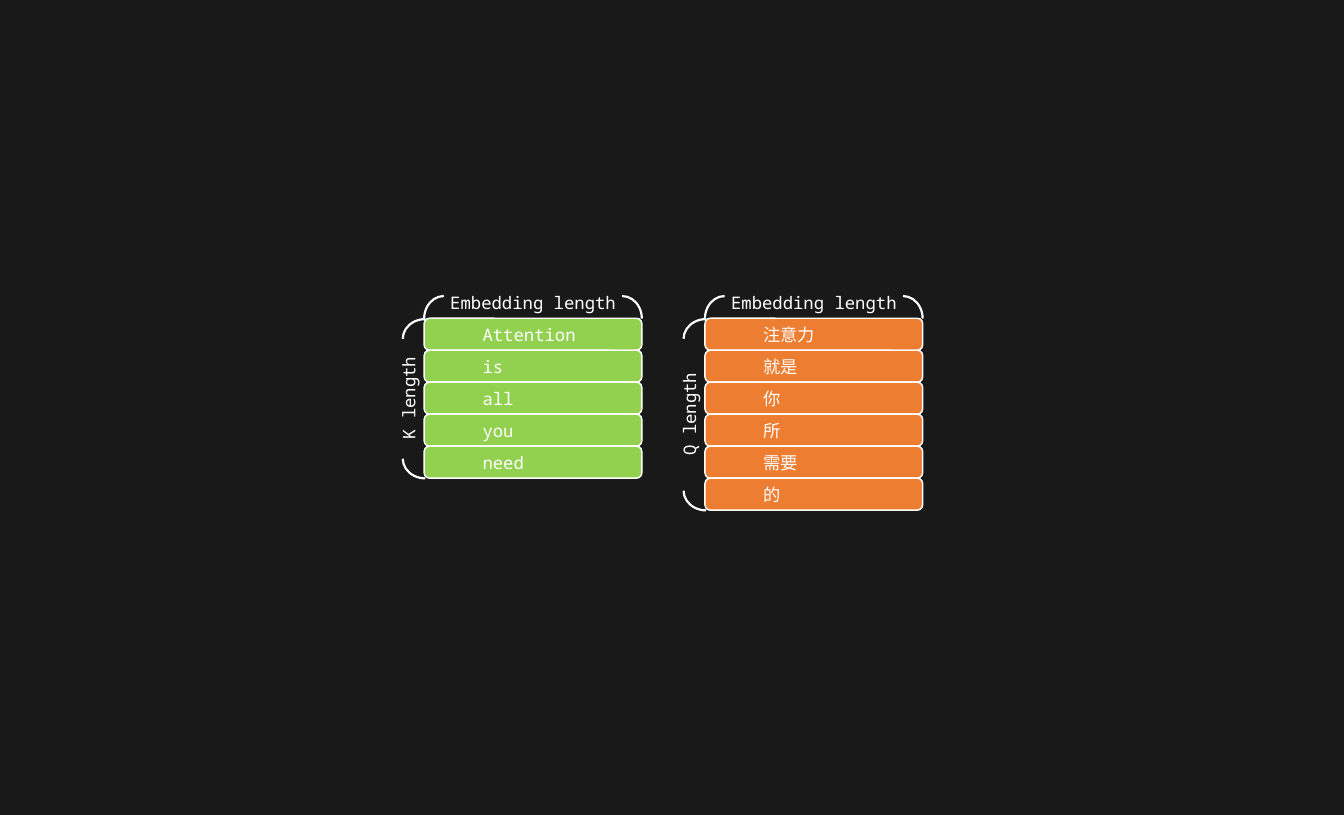
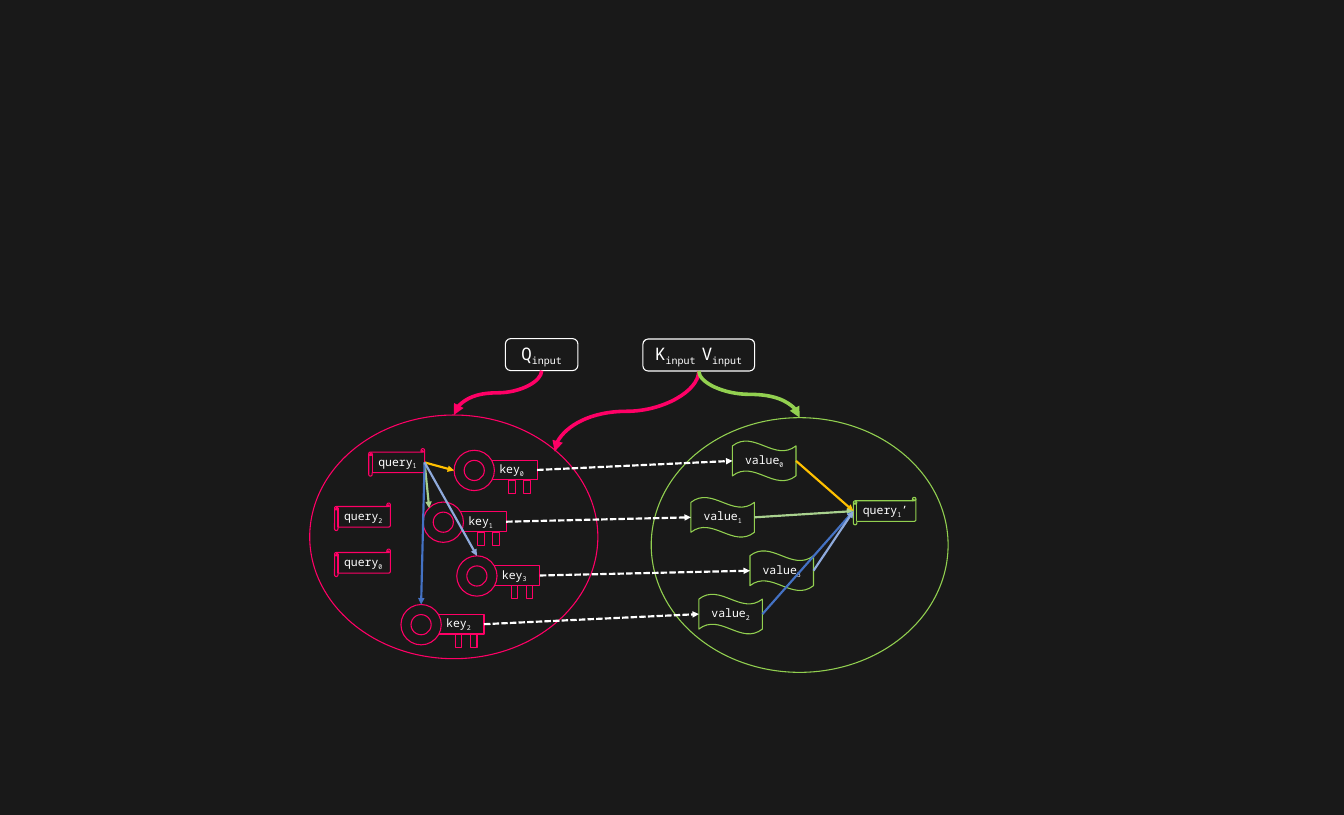
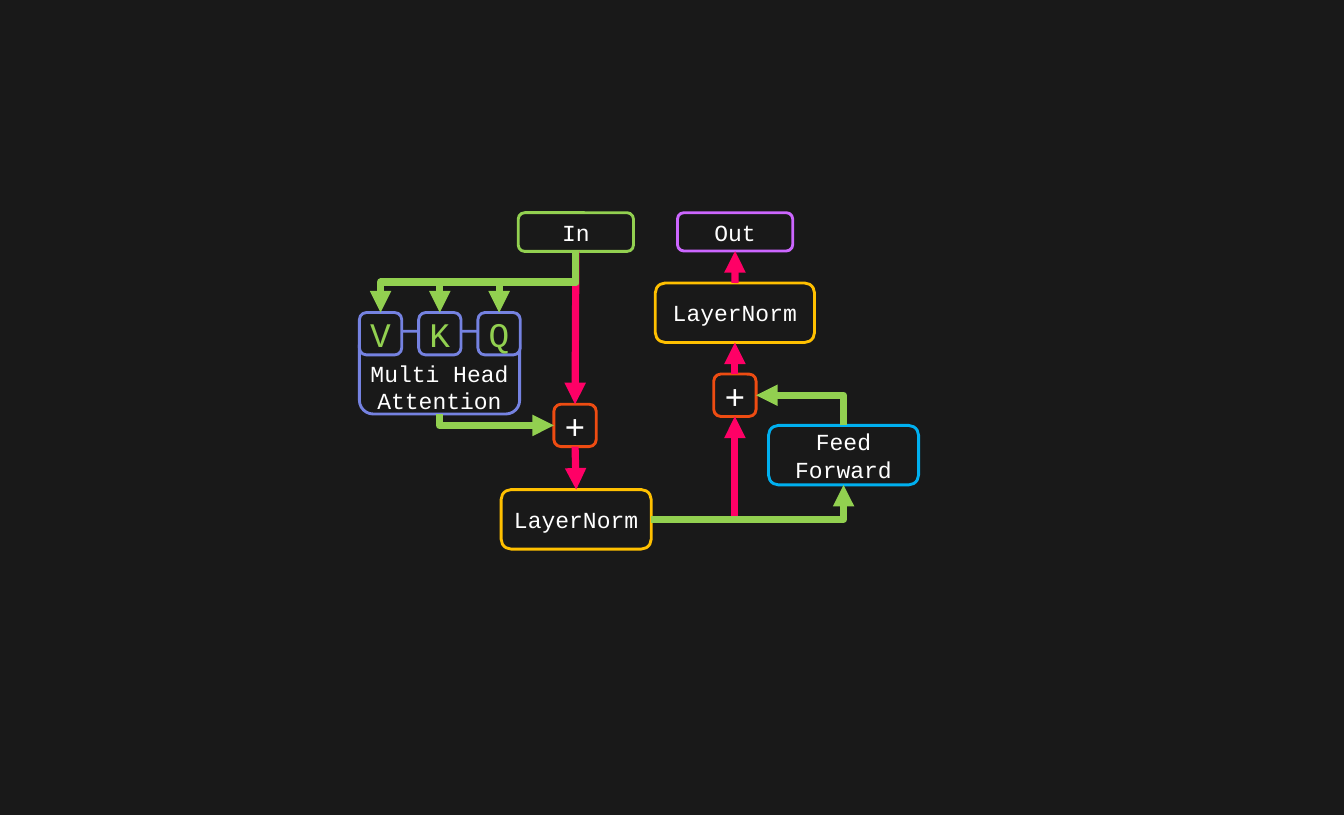
"""Build three slides that explain attention: matrices, lookup and block layout."""
import dataclasses
import enum
import typing

import lxml.etree
import pptx
import pptx.dml.color
import pptx.enum.dml
import pptx.enum.shapes
import pptx.enum.text
import pptx.oxml.ns
import pptx.shapes.autoshape
import pptx.slide
import pptx.util

Cm = pptx.util.Cm
Kind = pptx.enum.shapes.MSO_SHAPE
Wire = pptx.enum.shapes.MSO_CONNECTOR
Align = pptx.enum.text.PP_ALIGN
Shape = pptx.shapes.autoshape.Shape
qn = pptx.oxml.ns.qn


@dataclasses.dataclass(frozen=True)
class Theme:
    """Colours, fonts and type sizes shared by the slides."""
    ground: str = "191919"
    white: str = "FFFFFF"
    green: str = "92D050"
    orange: str = "ED7D31"
    pink: str = "FF0066"
    gold: str = "FFC000"
    sage: str = "A9D18E"
    blue: str = "4472C4"
    sky: str = "8FAADC"
    violet: str = "CC66FF"
    indigo: str = "7582E1"
    cyan: str = "00B0F0"
    rust: str = "EE4C12"
    mono: str = "Noto Sans Mono"
    chinese: str = "Noto Sans CJK TC"
    courier: str = "Courier New"
    small: int = 16
    body: int = 24
    block: int = 32
    symbol: int = 48


THEME = Theme()


class Box(typing.NamedTuple):
    """Place and size in centimetres."""
    left: float
    top: float
    width: float
    height: float


@dataclasses.dataclass(frozen=True)
class Look:
    """Fill, outline and turn of a shape."""
    line: typing.Optional[str] = None
    weight: float = 1.5
    fill: typing.Optional[str] = None
    rotation: float = 0
    mirrored: bool = False


@dataclasses.dataclass(frozen=True)
class Lettering:
    """Type settings of a label."""
    size: int
    font: str = THEME.mono
    color: str = THEME.white
    align: Align = Align.CENTER
    indent: float = 0
    wrap: bool = True
    margin_top: typing.Optional[float] = None


class Run(typing.NamedTuple):
    """A piece of text, optionally lowered."""
    text: str
    lowered: bool = False


class Side(enum.Enum):
    """Relative place of a connection site, and its index on angular and round shapes."""
    TOP = (0.5, 0, 0, 0)
    LEFT = (0, 0.5, 1, 2)
    BOTTOM = (0.5, 1, 2, 4)
    RIGHT = (1, 0.5, 3, 6)
    TOP_LEFT = (0.15, 0.15, 0, 1)
    TOP_RIGHT = (0.85, 0.15, 0, 7)


class Port(typing.NamedTuple):
    """A connection site on a shape."""
    shape: Shape
    side: Side

    def point(self) -> tuple[int, int]:
        """Return the site's position on the slide."""
        across, down = self.side.value[:2]
        return (int(self.shape.left + self.shape.width * across),
                int(self.shape.top + self.shape.height * down))

    def site(self) -> int:
        """Return the index of the site for this kind of shape."""
        is_round = self.shape.auto_shape_type in (Kind.OVAL, Kind.DONUT)
        return self.side.value[3 if is_round else 2]


@dataclasses.dataclass(frozen=True)
class Link:
    """An arrow between two ports."""
    start: Port
    end: Port
    color: str
    weight: float
    wire: Wire = Wire.STRAIGHT
    corner: bool = False
    dashed: bool = False


def rgb(code: str) -> pptx.dml.color.RGBColor:
    """Turn a hex code into a colour."""
    return pptx.dml.color.RGBColor.from_string(code)


def new_slide(deck: typing.Any) -> pptx.slide.Slide:
    """Add a blank slide on the dark ground."""
    slide = deck.slides.add_slide(deck.slide_layouts[6])
    slide.background.fill.solid()
    slide.background.fill.fore_color.rgb = rgb(THEME.ground)
    return slide


def draw(shapes: typing.Any, kind: Kind, box: Box, look: Look) -> Shape:
    """Draw a preset shape."""
    shape = shapes.add_shape(kind, *(Cm(length) for length in box))
    shape.shadow.inherit = False
    shape.rotation = look.rotation
    if look.fill:
        shape.fill.solid()
        shape.fill.fore_color.rgb = rgb(look.fill)
    else:
        shape.fill.background()
    if look.line:
        shape.line.color.rgb = rgb(look.line)
        shape.line.width = pptx.util.Pt(look.weight)
    else:
        shape.line.fill.background()
    if look.mirrored:
        shape.element.spPr.find(qn("a:xfrm")).set("flipH", "1")
    return shape


def write(shape: Shape, runs: typing.Sequence[Run], lettering: Lettering) -> Shape:
    """Write one paragraph into a shape, run by run."""
    frame = shape.text_frame
    frame.word_wrap = lettering.wrap
    frame.vertical_anchor = pptx.enum.text.MSO_ANCHOR.MIDDLE
    if lettering.margin_top is not None:
        frame.margin_top = Cm(lettering.margin_top)
    paragraph = frame.paragraphs[0]
    paragraph.alignment = lettering.align
    if lettering.indent:
        paragraph.level = 1
        properties = paragraph._p.get_or_add_pPr()
        properties.set("marL", str(Cm(lettering.indent)))
        properties.set("indent", "0")
    for piece in runs:
        run = paragraph.add_run()
        run.text = piece.text
        run.font.size = pptx.util.Pt(lettering.size)
        run.font.color.rgb = rgb(lettering.color)
        run.font.name = lettering.font
        properties = run._r.get_or_add_rPr()
        lxml.etree.SubElement(properties, qn("a:ea"), typeface=lettering.font)
        if piece.lowered:
            properties.set("baseline", "-25000")
    return shape


def connect(slide: pptx.slide.Slide, link: Link) -> None:
    """Draw an arrow glued to its two ports."""
    (x1, y1), (x2, y2) = link.start.point(), link.end.point()
    rotation = 0
    leaves_upright = link.start.side in (Side.TOP, Side.BOTTOM)
    if link.wire != Wire.STRAIGHT and leaves_upright:
        run, rise = x2 - x1, y2 - y1
        rotation = 90 if run < 0 < rise else 270
        along, across = (rise, -run) if rotation == 90 else (-rise, run)
        middle_x, middle_y = (x1 + x2) // 2, (y1 + y2) // 2
        x1, y1 = middle_x - along // 2, middle_y - across // 2
        x2, y2 = x1 + along, y1 + across
    arrow = slide.shapes.add_connector(link.wire, x1, y1, x2, y2)
    arrow.rotation = rotation
    arrow.line.color.rgb = rgb(link.color)
    arrow.line.width = pptx.util.Pt(link.weight)
    if link.dashed:
        arrow.line.dash_style = pptx.enum.dml.MSO_LINE.SQUARE_DOT
    properties = arrow.element.spPr
    if link.corner:
        properties.find(qn("a:prstGeom")).set("prst", "bentConnector2")
    lxml.etree.SubElement(properties.find(qn("a:ln")), qn("a:tailEnd"), type="triangle")
    lxml.etree.SubElement(properties, qn("a:effectLst"))
    glue = arrow.element.find(".//" + qn("p:cNvCxnSpPr"))
    for tag, port in (("a:stCxn", link.start), ("a:endCxn", link.end)):
        lxml.etree.SubElement(glue, qn(tag), id=str(port.shape.shape_id), idx=str(port.site()))


@dataclasses.dataclass(frozen=True)
class Matrix:
    """A stack of word vectors with its dimension names."""
    left: float
    color: str
    font: str
    length_name: str
    words: tuple[str, ...]


def draw_matrix(slide: pptx.slide.Slide, matrix: Matrix) -> None:
    """Draw the word rows with a bracket above and one at the left."""
    left, top, width, row = matrix.left, 15.62, 10.69, 1.57
    arc_width, arc_height, label_width = 1.93, 2.21, 7.04
    total = row * len(matrix.words)
    row_look = Look(THEME.white, 2, matrix.color)
    row_text = Lettering(THEME.body, matrix.font, align=Align.LEFT, indent=2.54)
    for index, word in enumerate(matrix.words):
        place = Box(left, top + index * row, width, row)
        write(draw(slide.shapes, Kind.ROUNDED_RECTANGLE, place, row_look), [Run(word)], row_text)
    side_label = Box(left - 0.77 - label_width / 2, top + (total - row) / 2, label_width, row)
    for name, place, rotation in (("Embedding length", Box(left, top - row, width, row), 0),
                                  (matrix.length_name, side_label, 270)):
        label = draw(slide.shapes, Kind.ROUNDED_RECTANGLE, place, Look(rotation=rotation))
        write(label, [Run(name)], Lettering(THEME.body))
    for x, y, rotation, mirrored in (
            (left + width - arc_width, top - 1.09, 0, False),
            (left, top - 1.09, 0, True),
            (left - 0.91, top - 0.1, 270, False),
            (left - 0.91, top + total - 2.06, 270, True)):
        draw(slide.shapes, Kind.ARC, Box(x, y, arc_width, arc_height),
             Look(THEME.white, 3, rotation=rotation, mirrored=mirrored))


def build_matrices(deck: typing.Any) -> None:
    """Show the key and query matrices."""
    slide = new_slide(deck)
    draw_matrix(slide, Matrix(20.83, THEME.green, THEME.mono, "K length",
                              ("Attention", "is", "all", "you", "need")))
    draw_matrix(slide, Matrix(34.62, THEME.orange, THEME.chinese, "Q length",
                              ("注意力", "就是", "你", "所", "需要", "的")))


def draw_key(slide: pptx.slide.Slide, left: float, top: float, index: int) -> tuple[Shape, Shape]:
    """Draw a numbered key and return its ring and blade."""
    group = slide.shapes.add_group_shape()
    look = Look(THEME.pink, fill=THEME.ground)
    blade = draw(group.shapes, Kind.RECTANGLE, Box(left + 1.57, top + 0.48, 2.51, 0.97), look)
    write(blade, [Run("key"), Run(str(index), True)], Lettering(THEME.small, wrap=False))
    for offset in (2.51, 3.25):
        draw(group.shapes, Kind.RECTANGLE, Box(left + offset, top + 1.63, 0.64, 0.33),
             dataclasses.replace(look, rotation=90))
    ring = draw(group.shapes, Kind.DONUT, Box(left, top, 1.98, 1.98), look)
    return ring, blade


def build_lookup(deck: typing.Any) -> None:
    """Show queries matched with keys and mixed from values."""
    slide = new_slide(deck)
    pink_look = Look(THEME.pink, fill=THEME.ground)
    green_look = Look(THEME.green, fill=THEME.ground)
    white_look = Look(THEME.white, fill=THEME.ground)
    small = Lettering(THEME.small, wrap=False)
    body = Lettering(THEME.body, wrap=False)

    value_space = draw(slide.shapes, Kind.OVAL, Box(31.98, 20.5, 14.58, 12.5), green_look)
    key_space = draw(slide.shapes, Kind.OVAL, Box(15.21, 20.37, 14.15, 11.96), pink_look)
    q_input = draw(slide.shapes, Kind.ROUNDED_RECTANGLE, Box(24.82, 16.62, 3.56, 1.57), white_look)
    write(q_input, [Run("Q"), Run("input", True)], body)
    kv_input = draw(slide.shapes, Kind.ROUNDED_RECTANGLE, Box(31.57, 16.64, 5.49, 1.57), white_look)
    write(kv_input, [Run("K"), Run("input ", True), Run("V"), Run("input", True)], body)
    for source, space, side, color in (
            (q_input, key_space, Side.TOP, THEME.pink),
            (kv_input, key_space, Side.TOP_RIGHT, THEME.pink),
            (kv_input, value_space, Side.TOP, THEME.green)):
        connect(slide, Link(Port(source, Side.BOTTOM), Port(space, side), color, 5, Wire.CURVE))

    queries = {}
    for index, left, top in ((1, 18.11, 22.02), (2, 16.43, 24.69), (0, 16.43, 26.95)):
        queries[index] = draw(slide.shapes, Kind.HORIZONTAL_SCROLL,
                              Box(left, top, 2.74, 1.35), pink_look)
        write(queries[index], [Run("query"), Run(str(index), True)], small)
    answer = draw(slide.shapes, Kind.HORIZONTAL_SCROLL, Box(41.91, 24.41, 3.07, 1.35), green_look)
    write(answer, [Run("query"), Run("1", True), Run("’")], small)

    key_places = ((22.3, 22.1), (20.78, 24.64), (19.69, 29.67), (22.43, 27.28))
    value_places = ((35.97, 21.64), (33.93, 24.41), (34.32, 29.16), (36.83, 27.03))
    match_sides = (Side.LEFT, Side.TOP_LEFT, Side.TOP, Side.TOP)
    match_colors = (THEME.gold, THEME.sage, THEME.blue, THEME.sky)
    links = []
    for index, (key_place, value_place, side, color) in enumerate(
            zip(key_places, value_places, match_sides, match_colors)):
        ring, blade = draw_key(slide, *key_place, index)
        value = draw(slide.shapes, Kind.WAVE, Box(*value_place, 3.12, 1.96), green_look)
        write(value, [Run("value"), Run(str(index), True)], small)
        links += [
            Link(Port(blade, Side.RIGHT), Port(value, Side.LEFT), THEME.white, 3, dashed=True),
            Link(Port(queries[1], Side.RIGHT), Port(ring, side), color, 3),
            Link(Port(value, Side.RIGHT), Port(answer, Side.LEFT), color, 3),
        ]
    for link in links:
        connect(slide, link)


class Block(typing.NamedTuple):
    """A named box of the network."""
    text: str
    box: Box
    color: str
    lettering: Lettering
    fill: typing.Optional[str] = None


def build_network(deck: typing.Any) -> None:
    """Show the layers of one attention block."""
    slide = new_slide(deck)
    plain = Lettering(THEME.block, THEME.courier)
    lowered = dataclasses.replace(plain, margin_top=1.5)
    plus = Lettering(THEME.symbol, THEME.courier)
    letter = dataclasses.replace(plus, color=THEME.green)
    square = 2.08
    blocks = {
        "in": Block("In", Box(25.45, 10.44, 5.66, 1.9), THEME.green, plain),
        "out": Block("Out", Box(33.27, 10.44, 5.66, 1.88), THEME.violet, plain),
        "attention": Block("Multi Head Attention", Box(17.65, 16.26, 7.87, 4.06),
                           THEME.indigo, lowered),
        "forward": Block("Feed Forward", Box(37.74, 20.88, 7.37, 2.92), THEME.cyan, plain),
        "first sum": Block("+", Box(27.2, 19.84, square, square), THEME.rust, plus),
        "first norm": Block("LayerNorm", Box(24.61, 24.03, 7.37, 2.92), THEME.gold, plain),
        "second sum": Block("+", Box(35.05, 18.36, square, square), THEME.rust, plus),
        "second norm": Block("LayerNorm", Box(32.18, 13.89, 7.82, 2.92), THEME.gold, plain),
    }
    for index, name in enumerate("VKQ"):
        blocks[name] = Block(name, Box(17.65 + index * 2.91, 15.34, square, square),
                             THEME.indigo, letter, THEME.ground)
    drawn = {}
    for name, block in blocks.items():
        drawn[name] = draw(slide.shapes, Kind.ROUNDED_RECTANGLE, block.box,
                           Look(block.color, 4, block.fill))
        write(drawn[name], [Run(block.text)], block.lettering)

    top, bottom, left, right = Side.TOP, Side.BOTTOM, Side.LEFT, Side.RIGHT
    straight, elbow = Wire.STRAIGHT, Wire.ELBOW
    for start, start_side, end, end_side, color, wire, corner in (
            ("in", bottom, "first sum", top, THEME.pink, straight, False),
            ("first sum", bottom, "first norm", top, THEME.pink, straight, False),
            ("second sum", top, "second norm", bottom, THEME.pink, straight, False),
            ("second norm", top, "out", bottom, THEME.pink, straight, False),
            ("first norm", right, "second sum", bottom, THEME.pink, elbow, True),
            ("first norm", right, "forward", bottom, THEME.green, elbow, True),
            ("forward", top, "second sum", right, THEME.green, elbow, True),
            ("attention", bottom, "first sum", left, THEME.green, elbow, True),
            ("in", bottom, "V", top, THEME.green, elbow, False),
            ("in", bottom, "K", top, THEME.green, elbow, False),
            ("in", bottom, "Q", top, THEME.green, elbow, False)):
        connect(slide, Link(Port(drawn[start], start_side), Port(drawn[end], end_side),
                            color, 10, wire, corner))


def main() -> None:
    """Build and save the deck."""
    deck = pptx.Presentation()
    deck.slide_width, deck.slide_height = Cm(66), Cm(40)
    build_matrices(deck)
    build_lookup(deck)
    build_network(deck)
    deck.save("out.pptx")


main()
